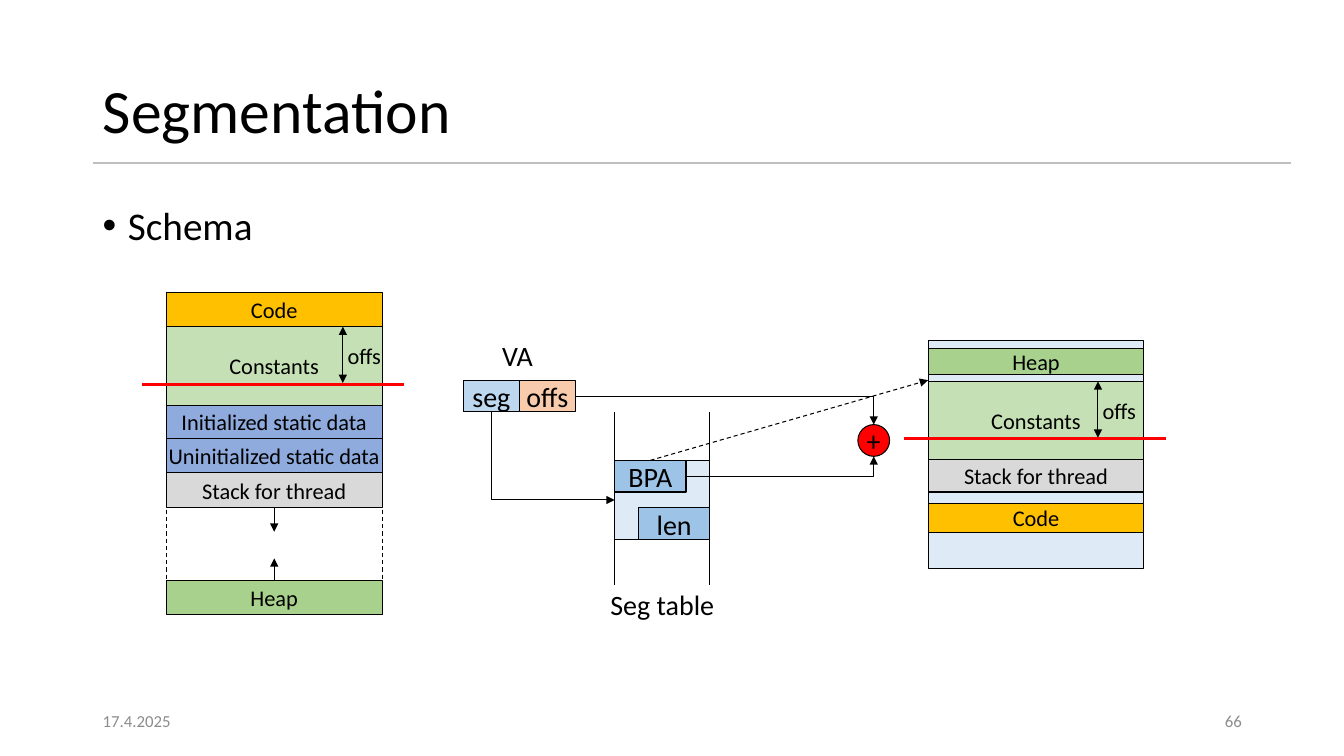
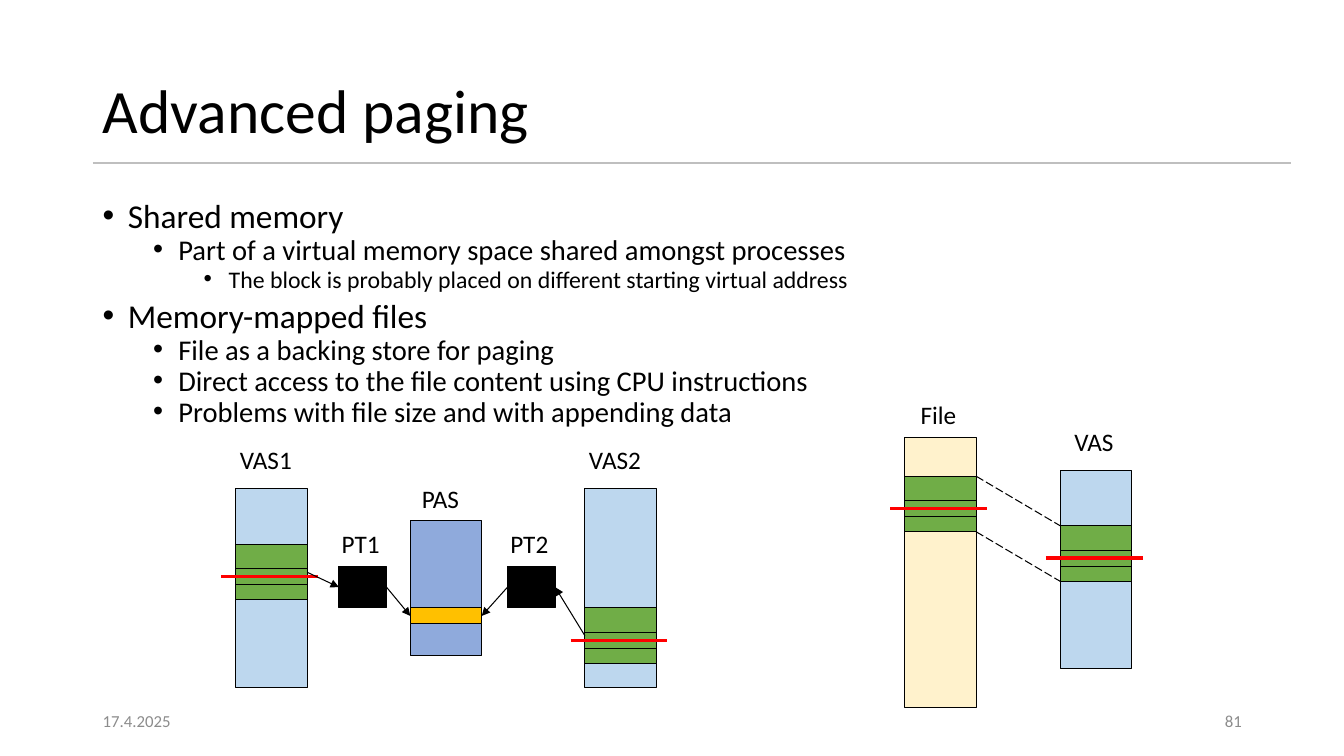
from dataclasses import dataclass

from lxml import etree
from pptx import Presentation
from pptx import util as u
from pptx.dml.color import RGBColor
from pptx.enum import dml, shapes, text
from pptx.oxml.ns import qn


@dataclass(frozen=True)
class Theme:
    font: str = "Calibri"
    ink: str = "000000"
    muted: str = "8C8C8C"
    rule: str = "BFBFBF"
    accent: str = "FF0000"
    code: str = "FFC000"
    constants: str = "C5E0B4"
    data: str = "8FAADC"
    stack: str = "D9D9D9"
    heap: str = "A9D18E"
    memory: str = "DEEBF7"
    field: str = "9DC3E6"
    space: str = "BDD7EE"
    offset: str = "F8CBAD"
    file: str = "FFF2CC"
    shared: str = "70AD47"
    title_pt: float = 44
    field_pt: float = 20
    label_pt: float = 18
    row_pt: float = 16
    footer_pt: float = 12
    thin: float = 0.75
    thick: float = 2.25


T = Theme()
DASH = dml.MSO_LINE.DASH
LONG_DASH = dml.MSO_LINE.LONG_DASH
LEFT, CENTER, RIGHT = text.PP_ALIGN.LEFT, text.PP_ALIGN.CENTER, text.PP_ALIGN.RIGHT
MIDDLE = text.MSO_ANCHOR.MIDDLE


# Drawing helpers, all lengths in centimetres

def cm(*lengths):
    return [u.Cm(v) for v in lengths]


def style(p, size, color=T.ink, align=LEFT):
    p.alignment = align
    p.font.name, p.font.size = T.font, u.Pt(size)
    p.font.color.rgb = RGBColor.from_string(color)


def block(s, x, y, w, h, fill, words="", size=T.row_pt, kind=shapes.MSO_SHAPE.RECTANGLE):
    sp = s.shapes.add_shape(kind, *cm(x, y, w, h))
    sp.shadow.inherit = False
    sp.fill.solid()
    sp.fill.fore_color.rgb = RGBColor.from_string(fill)
    sp.line.color.rgb = RGBColor.from_string(T.ink)
    sp.line.width = u.Pt(T.thin)
    if words:
        tf = sp.text_frame
        tf.word_wrap = False
        tf.vertical_anchor = MIDDLE
        tf.text = words
        style(tf.paragraphs[0], size, align=CENTER)
    return sp


def textbox(s, x, y, w, h, words, size, color=T.ink, align=LEFT):
    tf = s.shapes.add_textbox(*cm(x, y, w, h)).text_frame
    tf.word_wrap = True
    tf.text = words
    style(tf.paragraphs[0], size, color, align)
    return tf


def label(s, cx, y, words, size):
    textbox(s, cx - 2, y, 4, 1.02, words, size, align=CENTER)


def line(s, x1, y1, x2, y2, color=T.ink, width=T.thin, dash=None, head=False, tail=False,
         start=None, end=None, elbow=False):
    """start and end are (shape, side) pairs to join."""
    kind = shapes.MSO_CONNECTOR.ELBOW if elbow else shapes.MSO_CONNECTOR.STRAIGHT
    c = s.shapes.add_connector(kind, *cm(x1, y1, x2, y2))
    if start:
        c.begin_connect(*start)
    if end:
        c.end_connect(*end)
    c.line.color.rgb = RGBColor.from_string(color)
    c.line.width = u.Pt(width)
    if dash:
        c.line.dash_style = dash
    ln = c.line._get_or_add_ln()
    for tag, wanted in (("a:headEnd", head), ("a:tailEnd", tail)):
        if wanted:
            etree.SubElement(ln, qn(tag), type="triangle")
    pr = c._element.spPr
    etree.SubElement(pr, qn("a:effectLst"))
    if elbow:
        pr.find(qn("a:prstGeom")).set("prst", "bentConnector2")
    return c


def join(s, first, side1, second, side2, **options):
    return line(s, 0, 0, 1, 1, start=(first, side1), end=(second, side2), **options)


# Shared slide frame

def new_slide(prs, title, number):
    s = prs.slides.add_slide(prs.slide_layouts[5])
    line(s, 2.34, 4.11, 32.54, 4.11, T.rule, 1)
    sp = s.shapes.title
    sp.left, sp.top, sp.width, sp.height = cm(2.34, 1.02, 27, 3.68)
    tf = sp.text_frame
    tf.text = title
    tf.vertical_anchor = MIDDLE
    tf.paragraphs[0].line_spacing = 0.9
    style(tf.paragraphs[0], T.title_pt)
    for x, words, align in ((2.34, "17.4.2025", LEFT), (23.93, number, RIGHT)):
        tf = textbox(s, x, 17.65, 7.62, 1.02, words, T.footer_pt, T.muted, align)
        tf.vertical_anchor = MIDDLE
    return s


def bullets(s, x, y, w, h, items, sizes, spacing):
    tf = s.shapes.add_textbox(*cm(x, y, w, h)).text_frame
    tf.word_wrap = True
    for i, (level, words) in enumerate(items):
        p = tf.add_paragraph() if i else tf.paragraphs[0]
        p.text, p.level, p.line_spacing = words, level, spacing
        p.space_before = u.Pt(0 if i == 0 else 5 if level else 10)
        pr = p._p.get_or_add_pPr()
        pr.set("marL", str(u.Cm(0.635 + 1.27 * level)))
        pr.set("indent", str(-u.Cm(0.635)))
        etree.SubElement(pr, qn("a:buFont"), typeface="Arial")
        etree.SubElement(pr, qn("a:buChar"), char="•")
        style(p, sizes[level])


# Segmentation diagram

ROW_W = 5.44


def segments(s, x, y, rows):
    return [block(s, x, y + dy, ROW_W, h, fill, words) for words, dy, h, fill in rows]


def offset_marker(s, x, y, arrow_dx):
    """Address line and offset arrow inside the segment that starts at y."""
    line(s, x - 0.6, y + 1.45, x + ROW_W + 0.55, y + 1.45, T.accent, T.thick)
    line(s, x + arrow_dx, y, x + arrow_dx, y + 1.42, head=True, tail=True)
    label(s, x + arrow_dx + 0.54, y + 0.27, "offs", T.row_pt)


def virtual_memory(s, x, y):
    rows = segments(s, x, y, [
        ("Code", 0, 0.86, T.code),
        ("Constants", 0.86, 1.98, T.constants),
        ("Initialized static data", 2.84, 0.84, T.data),
        ("Uninitialized static data", 3.68, 0.86, T.data),
        ("Stack for thread", 4.54, 0.88, T.stack),
        ("Heap", 7.26, 0.86, T.heap),
    ])
    stack, heap = rows[-2:]
    mid = x + ROW_W / 2
    line(s, mid, y + 5.42, mid, y + 6.03, start=(stack, 2), tail=True)
    line(s, mid, y + 7.26, mid, y + 6.7, start=(heap, 0), tail=True)
    for edge in (x, x + ROW_W):
        line(s, edge, y + 5.11, edge, y + 7.26, dash=DASH)
    offset_marker(s, x, y + 0.86, 4.45)


def physical_memory(s, x, y):
    block(s, x, y, ROW_W, 5.74, T.memory)
    segments(s, x, y, [
        ("Heap", 0.2, 0.66, T.heap),
        ("Constants", 1.02, 1.98, T.constants),
        ("Stack for thread", 3, 0.81, T.stack),
        ("Code", 4.09, 0.74, T.code),
    ])
    offset_marker(s, x, y + 1.02, 4.28)


def translation(s, x, y, target):
    # Virtual address
    label(s, x + 1.36, y - 1.17, "VA", T.field_pt)
    seg = block(s, x, y, 1.41, 0.8, T.space, "seg", T.field_pt)
    offs = block(s, x + 1.41, y, 1.41, 0.8, T.offset, "offs", T.field_pt)
    # Segment table
    tx, ty, tw = x + 3.81, y + 2.02, 2.4
    for rail in (tx, tx + tw):
        line(s, rail, y + 0.8, rail, y + 5.16)
    entry = block(s, tx, ty, tw, 2, T.memory)
    bpa = block(s, tx, ty, 1.8, 0.8, T.field, "BPA", T.field_pt)
    block(s, tx + 0.6, ty + 1.2, 1.8, 0.8, T.field, "len", T.field_pt)
    label(s, tx + tw / 2, y + 5.11, "Seg table", T.field_pt)
    # Adder and routes
    plus = block(s, x + 9.94, y + 1.12, 0.8, 0.8, T.accent, "+", T.field_pt,
                 shapes.MSO_SHAPE.OVAL)
    join(s, entry, 1, seg, 2, elbow=True, head=True)
    join(s, offs, 3, plus, 0, elbow=True, tail=True)
    c = join(s, bpa, 3, plus, 2, elbow=True, tail=True)
    # An oval has eight sites; its bottom one is number 4
    c._element.find(".//" + qn("a:endCxn")).set("idx", "4")
    line(s, tx + 0.9, ty, *target, dash=DASH, tail=True, start=(bpa, 0))


def segmentation(prs):
    s = new_slide(prs, "Segmentation", "66")
    bullets(s, 2.34, 5.08, 29.21, 1.42, [(0, "Schema")], [28], 0.9)
    virtual_memory(s, 4.19, 7.37)
    physical_memory(s, 23.39, 8.59)
    translation(s, 11.68, 9.58, target=(23.39, 9.58))


# Paging diagrams

COL_W, SHARED_H = 1.8, 1.4


def column(s, x, y, h, fill, name, rise, shift):
    block(s, x, y, COL_W, h, fill)
    label(s, x + COL_W / 2 + shift, y - rise, name, T.label_pt)


def mapped_column(s, x, y, h, fill, name, shared_dy, rise=1.24, shift=-0.05):
    """Address space with a shared block, one page of which is in use."""
    column(s, x, y, h, fill, name, rise, shift)
    top = y + shared_dy
    shared = block(s, x, top, COL_W, SHARED_H, T.shared)
    for dy in (0.61, 1.02):
        line(s, x, top + dy, x + COL_W, top + dy)
    line(s, x - 0.36, top + 0.81, x + COL_W + 0.28, top + 0.81, T.accent, T.thick)
    return shared


def page_table(s, x, y, name):
    label(s, x + 0.55, y - 1.07, name, T.label_pt)
    return block(s, x, y, 1.2, 1.05, T.ink)


def shared_memory(s, x, y):
    vas1 = mapped_column(s, x, y, 5, T.space, "VAS1", 1.4, shift=-0.14)
    vas2 = mapped_column(s, x + 8.8, y, 5, T.space, "VAS2", 3, shift=-0.14)
    column(s, x + 4.4, y + 0.8, 3.4, T.data, "PAS", 1.07, -0.14)
    frame = block(s, x + 4.4, y + 3, COL_W, 0.4, T.code)
    pt1 = page_table(s, x + 2.6, y + 1.95, "PT1")
    pt2 = page_table(s, x + 6.85, y + 1.95, "PT2")
    for a, side_a, b, side_b in ((vas1, 3, pt1, 1), (pt1, 3, frame, 1),
                                 (vas2, 1, pt2, 3), (pt2, 1, frame, 3)):
        join(s, a, side_a, b, side_b, tail=True)


def mapped_file(s, x, y):
    mapped_column(s, x, y, 6.8, T.file, "File", 0.98, rise=1.07)
    vas_x, vas_y = x + 3.92, y + 0.83
    mapped_column(s, vas_x, vas_y, 5, T.space, "VAS", 1.4)
    for dy in (0, SHARED_H):
        line(s, x + COL_W, y + 0.98 + dy, vas_x, vas_y + 1.4 + dy, dash=LONG_DASH)


def advanced_paging(prs):
    s = new_slide(prs, "Advanced paging", "81")
    bullets(s, 2.34, 5.08, 29.21, 5.92, [
        (0, "Shared memory"),
        (1, "Part of a virtual memory space shared amongst processes"),
        (2, "The block is probably placed on different starting virtual address"),
        (0, "Memory-mapped files"),
        (1, "File as a backing store for paging"),
        (1, "Direct access to the file content using CPU instructions"),
        (1, "Problems with file size and with appending data"),
    ], [23.8, 20.4, 17], 0.7)
    shared_memory(s, 5.94, 12.32)
    mapped_file(s, 22.8, 11.02)


def main():
    prs = Presentation()
    prs.slide_width, prs.slide_height = cm(33.87, 19.05)
    segmentation(prs)
    advanced_paging(prs)
    prs.save("out.pptx")


if __name__ == "__main__":
    main()
